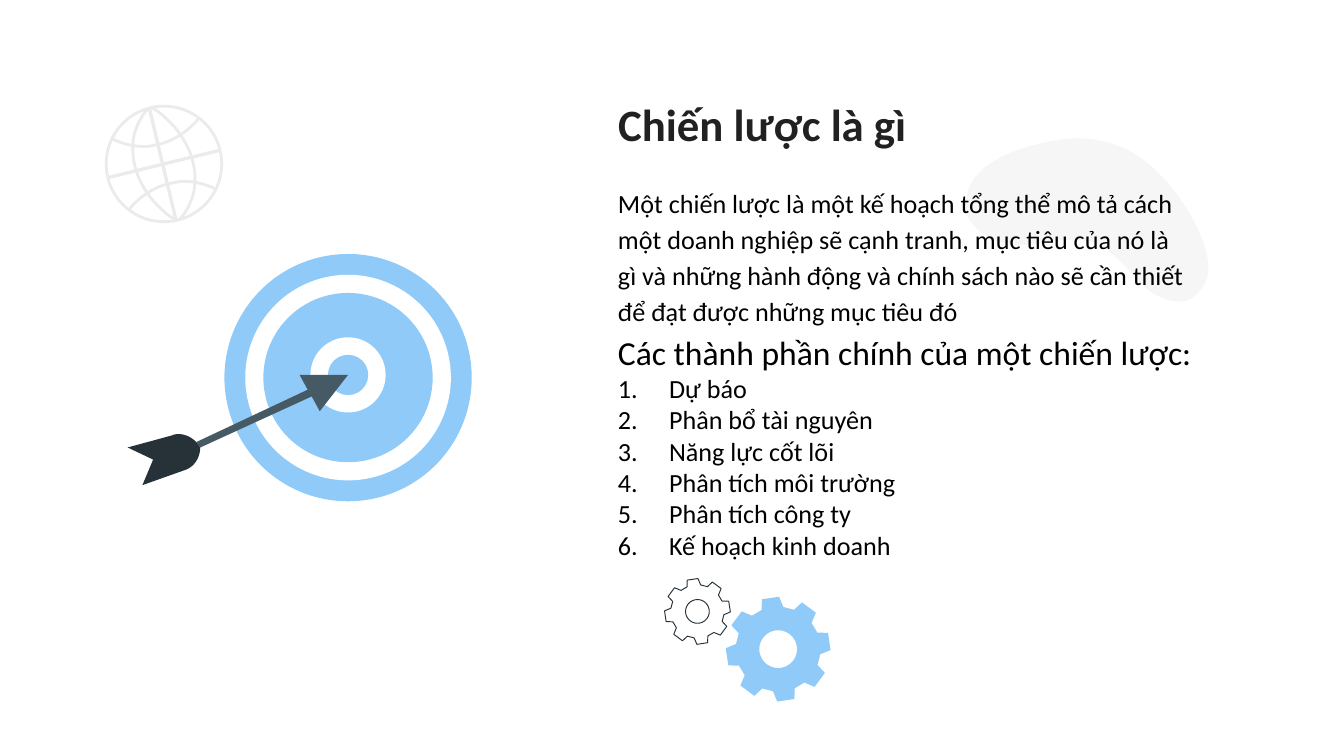
from math import cos, radians, sin

from lxml.etree import SubElement
from pptx import Presentation
from pptx.dml.color import RGBColor
from pptx.enum.shapes import MSO_CONNECTOR, MSO_SHAPE
from pptx.enum.text import MSO_ANCHOR, MSO_AUTO_SIZE, PP_ALIGN
from pptx.oxml.ns import qn
from pptx.util import Inches, Pt

CELL = Inches(0.01)
COLS, ROWS = 1000, 562.5
BLUE, WHITE, BLACK = "90CAF9", "FFFFFF", "000000"
INK, SLATE, PALE, MIST = "263238", "455A64", "EBEBEB", "E0E0E0"


def color(code):
    """Turn a hex string into a colour."""
    return RGBColor.from_string(code)


def grid(*values):
    """Turn grid columns or rows into EMU."""
    return [round(v * CELL) for v in values]


def trace(start, *segments, steps=12):
    """List the points of a path of lines (2 numbers) and cubic curves (6 numbers)."""
    points = [start]
    for seg in segments:
        if len(seg) == 2:
            points.append(seg)
            continue
        ctrl = [points[-1], seg[:2], seg[2:4], seg[4:]]
        for i in range(1, steps + 1):
            t = i / steps
            weights = ((1 - t) ** 3, 3 * t * (1 - t) ** 2, 3 * t * t * (1 - t), t ** 3)
            points.append(tuple(sum(w * c[k] for w, c in zip(weights, ctrl)) for k in (0, 1)))
    return points


def polar(cx, cy, radius, angle):
    """Locate a point on a circle."""
    return cx + radius * cos(radians(angle)), cy + radius * sin(radians(angle))


class Deck:
    """Hold the style and the current slide, and draw on a fine grid."""

    font = "Calibri"

    def __init__(self):
        """Start a presentation with one title-only slide."""
        self.prs = Presentation()
        self.prs.slide_width, self.prs.slide_height = grid(COLS, ROWS)
        self.s = self.prs.slides.add_slide(self.prs.slide_layouts[5])
        self.shapes = self.s.shapes

    def paint(self, sp, fill=None, line=None, width=1):
        """Set the fill and the line of a shape."""
        sp.shadow.inherit = False
        if fill:
            sp.fill.solid()
            sp.fill.fore_color.rgb = color(fill)
        else:
            sp.fill.background()
        if line:
            sp.line.color.rgb = color(line)
            sp.line.width = Pt(width)
        else:
            sp.line.fill.background()
        return sp

    def circle(self, cx, cy, radius, **style):
        """Draw a circle around its centre."""
        box = grid(cx - radius, cy - radius, 2 * radius, 2 * radius)
        return self.paint(self.shapes.add_shape(MSO_SHAPE.OVAL, *box), **style)

    def outline(self, *contours, close=True, **style):
        """Draw a freeform of one or more contours."""
        builder = None
        for contour in contours:
            points = [grid(*point) for point in contour]
            if builder is None:
                builder = self.shapes.build_freeform(*points[0], scale=1.0)
            else:
                builder.move_to(*points[0])
            builder.add_line_segments(points[1:], close=close)
        return self.paint(builder.convert_to_shape(), **style)

    def gear(self, cx, cy, radius, teeth=8, **style):
        """Draw a gear with a round hole."""
        profile = ((-89, 1), (-108, 1), (-113, 0.81), (-128, 0.81))
        rim = [polar(cx, cy, radius * share, angle - 360 / teeth * i)
               for i in range(teeth) for angle, share in profile]
        hole = [polar(cx, cy, radius * 0.36, a) for a in range(0, 360, 6)]
        return self.outline(rim, hole, **style)

    def line(self, x1, y1, x2, y2, code, width):
        """Draw a straight line."""
        c = self.shapes.add_connector(MSO_CONNECTOR.STRAIGHT, *grid(x1, y1, x2, y2))
        c.line.color.rgb = color(code)
        c.line.width = Pt(width)
        SubElement(c._element.spPr, qn("a:effectLst"))

    def style(self, p, size, code=BLACK, bold=False):
        """Format the text of a paragraph."""
        p.alignment = PP_ALIGN.LEFT
        for r in p.runs:
            r.font.name, r.font.size, r.font.bold = self.font, Pt(size), bold
            r.font.color.rgb = color(code)

    def frame(self, sp, anchor, inset):
        """Prepare the text frame of a shape."""
        tf = sp.text_frame
        tf.word_wrap, tf.auto_size = True, MSO_AUTO_SIZE.NONE
        tf.vertical_anchor = anchor
        tf.margin_left = tf.margin_right = Inches(0.1)
        tf.margin_top = tf.margin_bottom = Inches(inset)
        return tf

    def title(self, text, box):
        """Fill and place the title."""
        sp = self.shapes.title
        sp.left, sp.top, sp.width, sp.height = grid(*box)
        tf = self.frame(sp, MSO_ANCHOR.TOP, 0.1)
        tf.text = text
        self.style(tf.paragraphs[0], 24, "212121", True)

    def body(self, text, box):
        """Add a paragraph of running text."""
        tf = self.frame(self.shapes.add_textbox(*grid(*box)), MSO_ANCHOR.MIDDLE, 0.1)
        tf.text = text
        tf.paragraphs[0].line_spacing = 1.15
        self.style(tf.paragraphs[0], 14)

    def numbered(self, heading, items, box):
        """Add a heading with a numbered list."""
        tf = self.frame(self.shapes.add_textbox(*grid(*box)), MSO_ANCHOR.TOP, 0.05)
        tf.text = heading
        self.style(tf.paragraphs[0], 18)
        for item in items:
            p = tf.add_paragraph()
            p.text = item
            pPr = p._p.get_or_add_pPr()
            pPr.set("marL", str(Inches(0.38)))
            pPr.set("indent", str(-Inches(0.38)))
            SubElement(SubElement(pPr, qn("a:buClr")), qn("a:srgbClr"), val=BLACK)
            SubElement(pPr, qn("a:buFont"), typeface=self.font)
            SubElement(pPr, qn("a:buAutoNum"), type="arabicPeriod")
            self.style(p, 14)


def draw_blob(deck):
    """Draw the translucent blob behind the text."""
    blob = trace((727, 170), (731, 174, 736, 178, 741, 179), (754, 184, 767, 182, 780, 180),
                 (794, 178, 807, 177, 819, 183), (824, 185, 828, 189, 832, 193),
                 (838, 198, 843, 205, 849, 211), (860, 222, 877, 229, 888, 221),
                 (895, 216, 899, 208, 899, 200), (899, 192, 897, 184, 894, 177),
                 (886, 158, 875, 141, 860, 127), (841, 108, 815, 100, 789, 104),
                 (763, 108, 722, 119, 719, 148), (716, 156, 720, 164, 727, 170))
    sp = deck.outline(blob, fill=MIST)
    fill = sp._element.spPr.find(qn("a:solidFill"))
    SubElement(fill[0], qn("a:alpha"), val="29000")


def draw_globe(deck, cx=122, cy=122):
    """Draw the tilted globe; each arc is repeated through the centre."""
    deck.circle(cx, cy, 43, line=PALE, width=1.5)
    parallel = trace((83, 103), (90, 107, 105, 111, 115, 108), (128, 106, 140, 98, 148, 88))
    meridian = trace((111, 80), (104, 87, 99, 99, 99, 107), (97, 131, 113, 153, 131, 164))
    for arc in (parallel, meridian):
        opposite = [(2 * cx - x, 2 * cy - y) for x, y in arc]
        for points in (arc, opposite):
            deck.outline(points, close=False, line=PALE, width=1.5)
    deck.line(81, 132, 163, 112, PALE, 1.75)
    deck.line(111, 80, 131, 164, PALE, 1.75)


def draw_target(deck, cx=259):
    """Draw the target and the arrow in its centre."""
    rings = ((281, 92, BLUE), (281, 76.5, WHITE), (281, 63, BLUE),
             (279, 28, WHITE), (279, 15, BLUE))
    for cy, radius, fill in rings:
        deck.circle(cx, cy, radius, fill=fill)
    deck.outline([(223, 279), (229, 290), (146, 329), (149, 333), (232, 295), (238, 306),
                  (cx, 279)], fill=SLATE)
    deck.outline(trace((133, 323), (132, 323, 130, 323, 128, 324), (95, 333), (114, 342),
                       (106, 361), (137, 350), (144, 348, 149, 341, 149, 333), (146, 329),
                       (145, 328), (142, 325, 137, 323, 133, 323)), fill=INK)


def main():
    """Build the slide and save it."""
    deck = Deck()
    deck.gear(579, 483, 39, fill=BLUE)
    deck.gear(519, 455, 24.5, line=INK, width=0.5)
    draw_blob(deck)
    draw_globe(deck)
    draw_target(deck)
    deck.title("Chiến lược là gì", (450, 62, 422, 90))
    deck.body("Một chiến lược là một kế hoạch tổng thể mô tả cách một doanh nghiệp sẽ "
              "cạnh tranh, mục tiêu của nó là gì và những hành động và chính sách nào sẽ "
              "cần thiết để đạt được những mục tiêu đó", (450, 125, 446, 129))
    deck.numbered("Các thành phần chính của một chiến lược:",
                  ("Dự báo", "Phân bổ tài nguyên", "Năng lực cốt lõi",
                   "Phân tích môi trường", "Phân tích công ty", "Kế hoạch kinh doanh"),
                  (450, 242, 487, 205))
    deck.prs.save("out.pptx")


if __name__ == "__main__":
    main()
